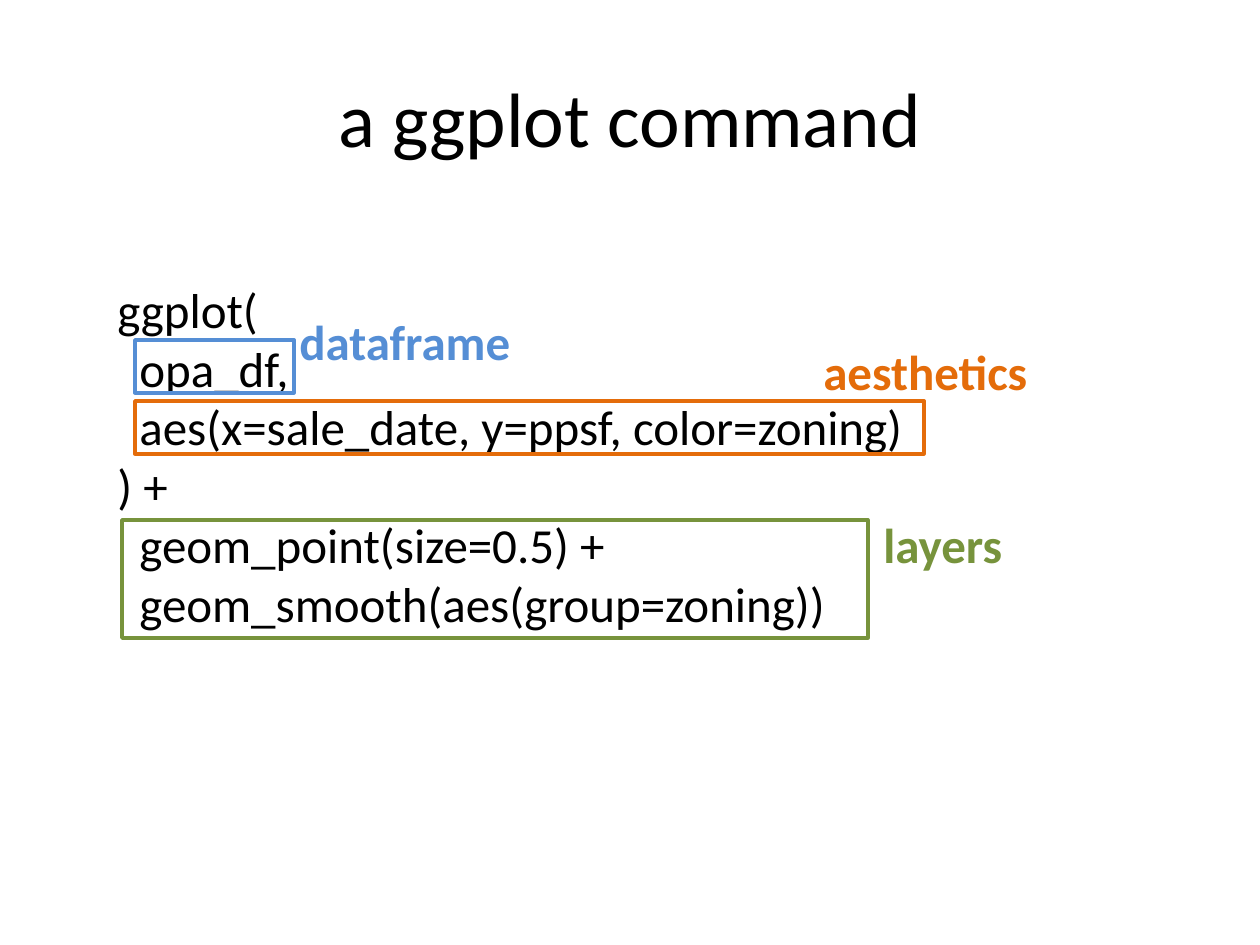
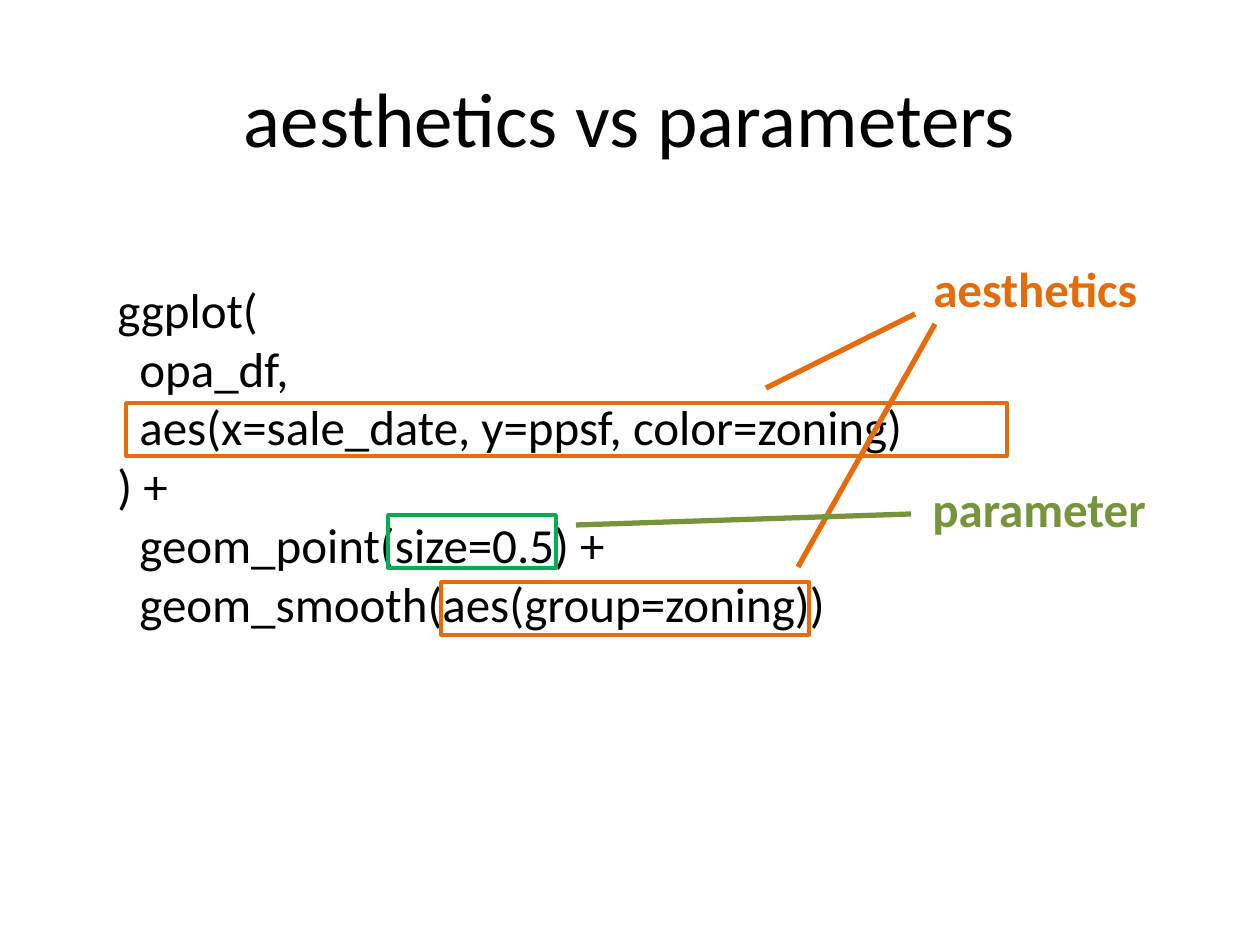
from pptx import Presentation
from pptx import util as u
from pptx.dml.color import RGBColor
from pptx.enum import shapes, text
from pptx.oxml.ns import qn
from lxml import etree

PX = 914400 / 126
FONT = "Calibri"
BLACK, BLUE, ORANGE = "000000", "558ED5", "E46C0A"
OLIVE, GREEN = "77933C", "00B050"
TITLE = (63, 38, 1134, 158)
CODE = (105, 273, 1113, 369)
LABEL = (291, 72)
INDENT = 22
ROW = 53

# (indent level, code)
LINES = [
    (0, "ggplot("),
    (1, "opa_df,"),
    (1, "aes(x=sale_date, y=ppsf, color=zoning)"),
    (0, ") +"),
    (1, "geom_point(size=0.5) +"),
    (1, "geom_smooth(aes(group=zoning))"),
]

# frames: left, top, width, height, colour
# labels: words, left, top, colour
# links: from x, y, to x, y, colour
SLIDES = [
    {
        "title": "a ggplot command",
        "frames": [
            (135, 340, 159, ROW, BLUE),
            (135, 401, 789, ROW, ORANGE),
            (122, 520, 746, 118, OLIVE),
        ],
        "labels": [
            ("dataframe", 287, 305, BLUE),
            ("aesthetics", 811, 335, ORANGE),
            ("layers", 871, 508, OLIVE),
        ],
        "links": [],
    },
    {
        "title": "aesthetics vs parameters",
        "frames": [
            (126, 403, 881, ROW, ORANGE),
            (441, 582, 368, ROW, ORANGE),
            (388, 515, 168, ROW, GREEN),
        ],
        "labels": [
            ("aesthetics", 921, 252, ORANGE),
            ("parameter", 920, 472, OLIVE),
        ],
        "links": [
            (915, 314, 766, 388, ORANGE),
            (935, 324, 798, 567, ORANGE),
            (576, 525, 911, 514, OLIVE),
        ],
    },
]


def emu(*sizes):
    return [round(s * PX) for s in sizes]


def tint(code):
    return RGBColor.from_string(code)


def put(para, words, size, color, bold=False):
    run = para.add_run()
    run.text = words
    font = run.font
    font.name, font.size, font.bold = FONT, u.Pt(size), bold
    font.color.rgb = tint(color)


def stroke(line, color, width):
    line.color.rgb = tint(color)
    line.width = u.Pt(width)


def head(slide, words):
    title = slide.shapes.title
    title.left, title.top, title.width, title.height = emu(*TITLE)
    frame = title.text_frame
    frame.vertical_anchor = text.MSO_ANCHOR.MIDDLE
    para = frame.paragraphs[0]
    para.alignment = text.PP_ALIGN.CENTER
    put(para, words, 44, BLACK)


def box(slide, *area):
    """Add a wrapping text box and return its text frame."""
    frame = slide.shapes.add_textbox(*emu(*area)).text_frame
    frame.word_wrap = True
    return frame


def code(slide):
    frame = box(slide, *CODE)
    for i, (level, words) in enumerate(LINES):
        para = frame.add_paragraph() if i else frame.paragraphs[0]
        left, = emu(level * INDENT)
        para._p.get_or_add_pPr().set("marL", str(left))
        put(para, words, 28, BLACK)


def outline(slide, *area, color):
    rect = slide.shapes.add_shape(shapes.MSO_SHAPE.RECTANGLE, *emu(*area))
    rect.shadow.inherit = False
    rect.fill.background()
    stroke(rect.line, color, 2)


def link(slide, *ends, color):
    line = slide.shapes.add_connector(shapes.MSO_CONNECTOR.STRAIGHT, *emu(*ends))
    stroke(line.line, color, 3)
    etree.SubElement(line._element.spPr, qn("a:effectLst"))


def main():
    deck = Presentation()
    deck.slide_width, deck.slide_height = emu(1260, 945)
    for page in SLIDES:
        slide = deck.slides.add_slide(deck.slide_layouts[5])
        head(slide, page["title"])
        code(slide)
        for *area, color in page["frames"]:
            outline(slide, *area, color=color)
        for words, x, y, color in page["labels"]:
            put(box(slide, x, y, *LABEL).paragraphs[0], words, 28, color, True)
        for *ends, color in page["links"]:
            link(slide, *ends, color=color)
    deck.save("out.pptx")


if __name__ == "__main__":
    main()
